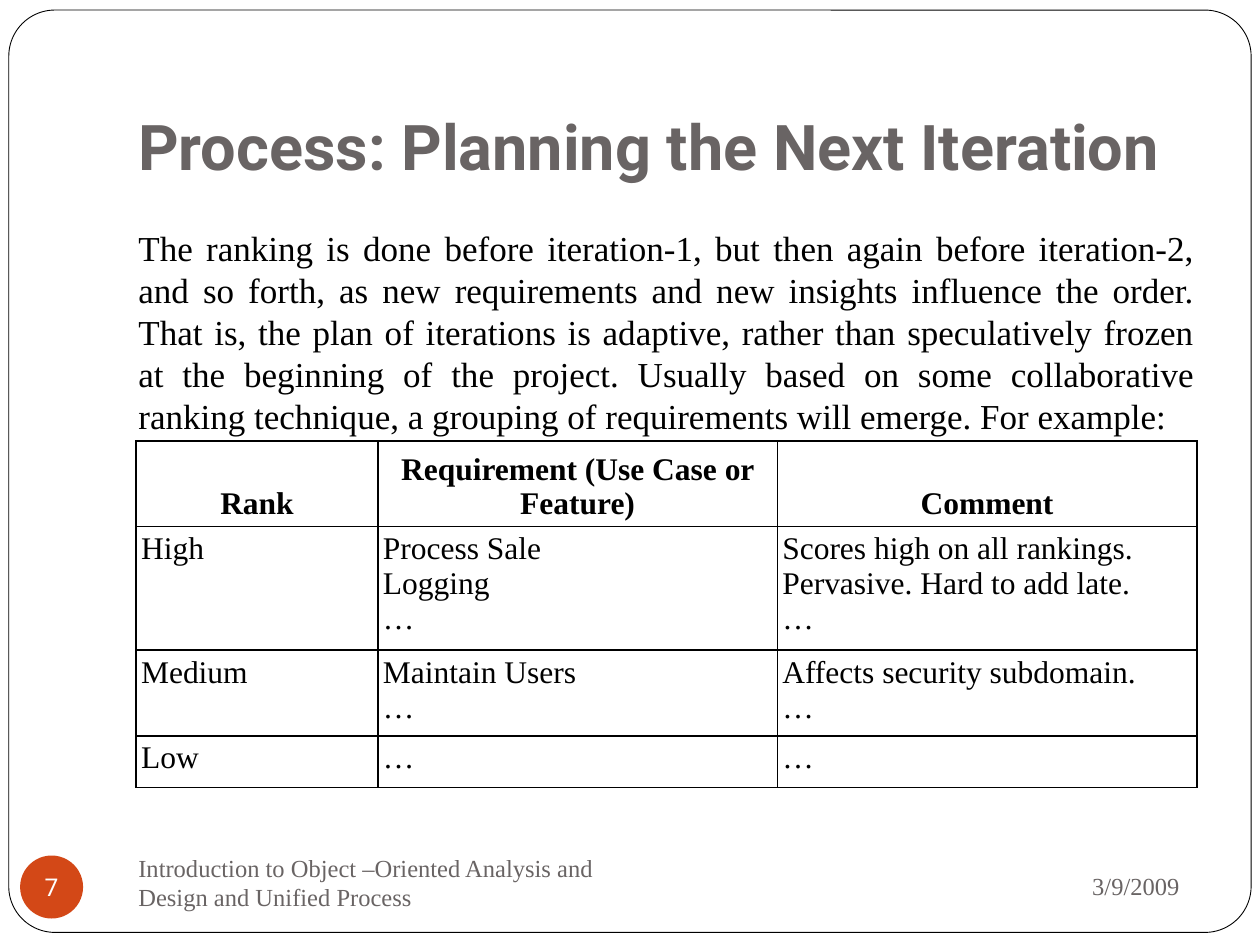
from lxml import etree
from pptx import Presentation
from pptx.dml.color import RGBColor
from pptx.enum.shapes import MSO_SHAPE as Shape
from pptx.enum.text import MSO_ANCHOR as Anchor, PP_ALIGN as Align
from pptx.oxml.ns import qn
from pptx.util import Inches, Pt

BLACK = RGBColor(0x00, 0x00, 0x00)
WHITE = RGBColor(0xFF, 0xFF, 0xFF)
GRAY = RGBColor(0x69, 0x64, 0x64)
ORANGE = RGBColor(0xD3, 0x48, 0x17)
SERIF = "Times New Roman"
SANS = "Roboto"

TITLE = "Process: Planning the Next Iteration"
RANKING = (
    "The ranking is done before iteration-1, but then again before iteration-2, "
    "and so forth, as new requirements and new insights influence the order. "
    "That is, the plan of iterations is adaptive, rather than speculatively frozen "
    "at the beginning of the project. Usually based on some collaborative ranking "
    "technique, a grouping of requirements will emerge. For example:"
)
COURSE = "Introduction to Object –Oriented Analysis and Design and Unified Process"
RANK_ROWS = [
    ("Rank", "Requirement (Use Case or Feature)", "Comment"),
    ("High", "Process Sale\nLogging\n…",
     "Scores high on all rankings.\nPervasive. Hard to add late.\n…"),
    ("Medium", "Maintain Users\n…", "Affects security subdomain.\n…"),
    ("Low", "…", "…"),
]
COLUMN_WIDTHS = (1.92, 3.17, 3.33)
ROW_HEIGHTS = (0.63, 0.92, 0.63, 0.41)


def write(frame, text, size, font=SERIF, color=BLACK, bold=False, align=Align.LEFT):
    """Fill a text frame and format all of its runs alike."""
    frame.text = text
    for paragraph in frame.paragraphs:
        paragraph.alignment = align
        for run in paragraph.runs:
            run.font.size = Pt(size)
            run.font.name = font
            run.font.bold = bold
            run.font.color.rgb = color


def add_text(slide, box, text, size, anchor=Anchor.MIDDLE, **style):
    """Place a wrapping text box and return its frame."""
    frame = slide.shapes.add_textbox(*map(Inches, box)).text_frame
    frame.word_wrap = True
    frame.vertical_anchor = anchor
    write(frame, text, size, **style)
    return frame


def add_frame(slide, box):
    """Draw the thin rounded outline around the slide."""
    outline = slide.shapes.add_shape(Shape.ROUNDED_RECTANGLE, *map(Inches, box))
    outline.adjustments[0] = 0.05
    outline.shadow.inherit = False
    outline.fill.solid()
    outline.fill.fore_color.rgb = WHITE
    outline.line.color.rgb = BLACK
    outline.line.width = Pt(0.5)


def add_title(slide, box):
    """Place the heading at the bottom of its box."""
    frame = add_text(slide, box, TITLE, 36, Anchor.BOTTOM,
                     font=SANS, color=GRAY, bold=True)
    frame.margin_bottom = Inches(0.1)


def add_body(slide, box):
    """Place the justified paragraph on ranking."""
    frame = add_text(slide, box, RANKING, 20, Anchor.TOP, align=Align.JUSTIFY)
    frame.paragraphs[0].space_before = Pt(5.8)


def add_borders(cell):
    """Give a cell thin black lines on all four sides."""
    properties = cell._tc.get_or_add_tcPr()
    for position, side in enumerate(("lnL", "lnR", "lnT", "lnB")):
        line = etree.Element(qn(f"a:{side}"), w=str(Pt(1)))
        fill = etree.SubElement(line, qn("a:solidFill"))
        etree.SubElement(fill, qn("a:srgbClr"), val=str(BLACK))
        properties.insert(position, line)


def add_rank_table(slide, box):
    """Build the table of ranked requirements."""
    table = slide.shapes.add_table(
        len(RANK_ROWS), len(COLUMN_WIDTHS), *map(Inches, box)).table
    for column, width in zip(table.columns, COLUMN_WIDTHS):
        column.width = Inches(width)
    for row, height in zip(table.rows, ROW_HEIGHTS):
        row.height = Inches(height)
    for r, texts in enumerate(RANK_ROWS):
        header = r == 0
        for c, text in enumerate(texts):
            cell = table.cell(r, c)
            cell.fill.background()
            cell.margin_left = cell.margin_right = Inches(0.04)
            cell.margin_top = cell.margin_bottom = Inches(0.04)
            cell.vertical_anchor = Anchor.BOTTOM if header else Anchor.TOP
            write(cell.text_frame, text, 18, bold=header,
                  align=Align.CENTER if header else Align.LEFT)
            add_borders(cell)


def add_page_number(slide, box):
    """Draw the round badge with the slide number."""
    badge = slide.shapes.add_shape(Shape.OVAL, *map(Inches, box))
    badge.shadow.inherit = False
    badge.fill.solid()
    badge.fill.fore_color.rgb = ORANGE
    badge.line.fill.background()
    frame = badge.text_frame
    frame.word_wrap = False
    frame.vertical_anchor = Anchor.MIDDLE
    frame.margin_left = frame.margin_right = 0
    frame.margin_top = frame.margin_bottom = 0
    write(frame, "7", 14, font=SANS, color=WHITE, align=Align.CENTER)


def main():
    """Build the slide and save it."""
    deck = Presentation()
    deck.slide_width, deck.slide_height = Inches(10), Inches(7.5)
    slide = deck.slides.add_slide(deck.slide_layouts[6])
    add_frame(slide, (0.07, 0.08, 9.86, 7.32))
    add_title(slide, (1, 0.3, 8.5, 1.25))
    add_body(slide, (1, 1.75, 8.58, 1.92))
    add_text(slide, (6.75, 6.77, 2.71, 0.52), "3/9/2009", 14,
             color=GRAY, align=Align.RIGHT)
    add_text(slide, (1, 6.75, 4.33, 0.5), COURSE, 14, color=GRAY)
    add_page_number(slide, (0.16, 6.79, 0.5, 0.5))
    add_rank_table(slide, (1.08, 3.5, sum(COLUMN_WIDTHS), sum(ROW_HEIGHTS)))
    deck.save("out.pptx")


if __name__ == "__main__":
    main()
